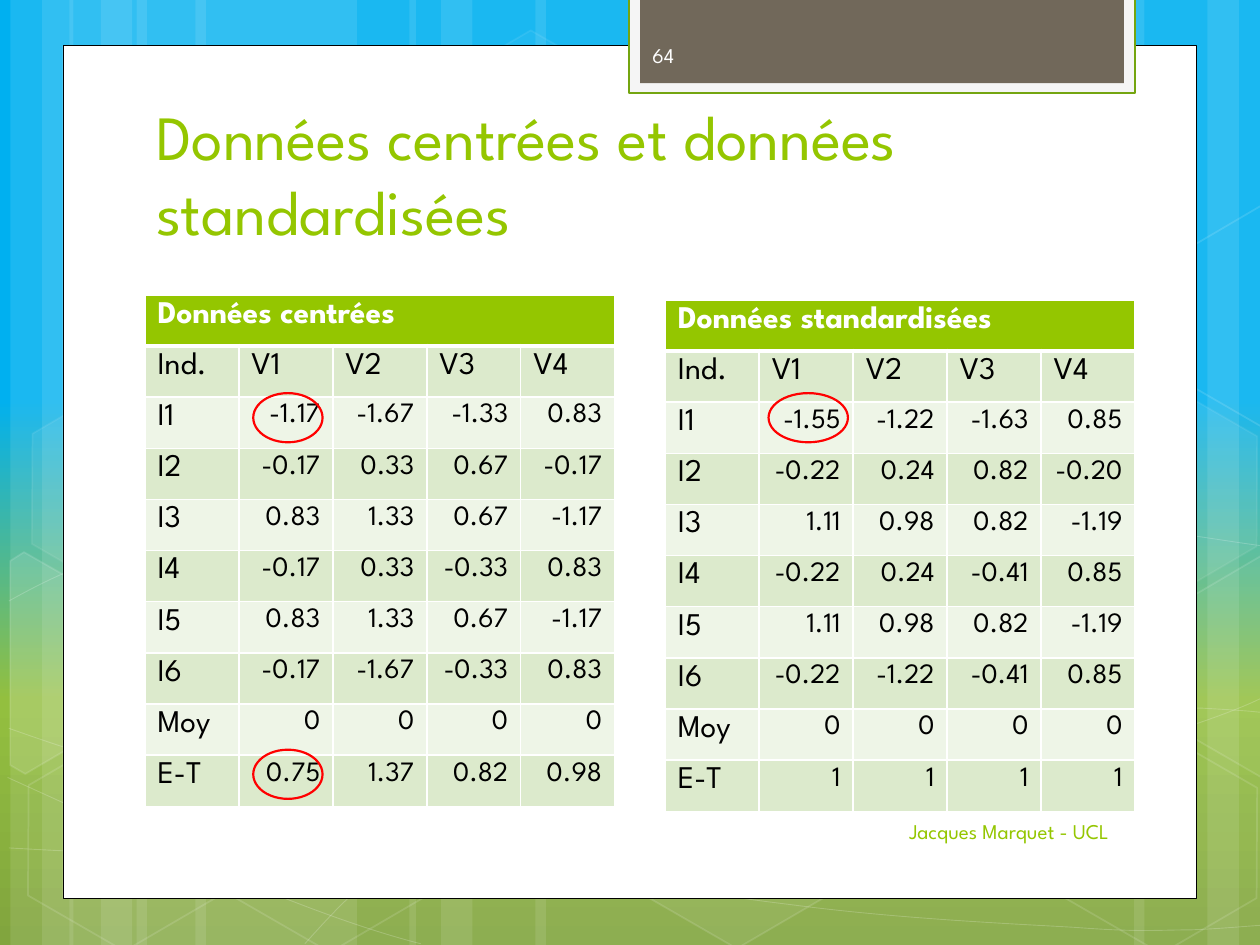
from dataclasses import dataclass
from math import cos, radians, sin
from typing import Any

from lxml import etree
from pptx import Presentation
from pptx.dml.color import RGBColor
from pptx.enum.shapes import MSO_SHAPE
from pptx.enum.text import MSO_ANCHOR, PP_ALIGN
from pptx.oxml.ns import qn
from pptx.util import Emu, Pt

RECT, HEX, OVAL = MSO_SHAPE.RECTANGLE, MSO_SHAPE.HEXAGON, MSO_SHAPE.OVAL
LEFT, RIGHT = PP_ALIGN.LEFT, PP_ALIGN.RIGHT
TOP, MIDDLE, BOTTOM = MSO_ANCHOR.TOP, MSO_ANCHOR.MIDDLE, MSO_ANCHOR.BOTTOM

WIDTH, HEIGHT = 9144000, 6858000
CELL = WIDTH / 10  # the slide is a grid of 10 columns by 7.5 rows
ROWS = 7.5
FONT = "League Spartan"
WHITE, BLACK, GREEN, RED = "FFFFFF", "000000", "94C600", "FF0000"
BANDS = ("DCEACC", "EEF5E7")
SKY = ((0, "00B0F0"), (42, "00B0F0"), (74, "93BF3F"), (100, "81A53E"))


@dataclass
class Box:
    x: float
    y: float
    w: float
    h: float


@dataclass
class Look:
    fill: str = ""
    alpha: int = 100
    line: str = ""
    width: float = 1
    sheer: int = 100


@dataclass
class Label:
    text: str
    box: Box
    size: int
    color: str
    anchor: Any = MIDDLE
    align: Any = LEFT


@dataclass
class Panel:
    title: str
    x: float
    y: float
    data: str


# Left edge and width in twelfths of a column
BARS = ((13, 21), (1, 6), (4, 10), (18.6, 21), (6.6, 6), (9.6, 10),
        (88, 21), (115, 6), (108, 10), (51, 37), (39, 6), (42, 10))

# Kinds of segment (C curve, L line), then their points
CURVES = (
    ("CCCC", (
        (0.07, 6.73), (0.61, 6.76), (1.15, 6.79), (1.9, 6.78), (2.65, 6.77), (3.58, 6.75),
        (4.58, 6.65), (5.58, 6.55), (7, 6.36), (7.92, 6.17), (8.83, 5.98), (9.77, 5.68),
        (10.07, 5.51))),
    ("CCCC", (
        (0.07, 4.77), (0.36, 4.61), (0.65, 4.46), (1.21, 4.31), (1.78, 4.16), (2.59, 3.94),
        (3.47, 3.87), (4.36, 3.8), (5.44, 3.79), (6.54, 3.87), (7.64, 3.95), (9.47, 4.26),
        (10.07, 4.34))),
    ("C", ((0.06, 6.17), (1.27, 6.72), (2.47, 7.27), (3.34, 7.49))),
    ("CCCCCC", (
        (0.07, 5.78), (0.38, 5.89), (0.7, 6), (1.28, 6.16), (1.86, 6.31), (2.73, 6.56),
        (3.57, 6.73), (4.4, 6.9), (5.45, 7.08), (6.28, 7.18), (7.11, 7.29), (8, 7.33),
        (8.53, 7.36), (9.05, 7.4), (9.19, 7.38), (9.45, 7.38), (9.71, 7.37), (9.89, 7.35),
        (10.07, 7.34))),
    ("CCCCCCCLCC", (
        (2.42, 7.49), (2.6, 7.29), (2.78, 7.09), (3.02, 6.91), (3.26, 6.73), (3.6, 6.53),
        (3.88, 6.39), (4.16, 6.25), (4.33, 6.19), (4.7, 6.09), (5.06, 5.99), (5.73, 5.85),
        (6.08, 5.78), (6.44, 5.71), (6.49, 5.71), (6.8, 5.69), (7.11, 5.66), (7.6, 5.63),
        (7.94, 5.62), (8.29, 5.61), (8.86, 5.62), (8.86, 5.62), (9.53, 5.62), (9.71, 5.63),
        (9.88, 5.64), (9.97, 5.65), (10.06, 5.66), (10.03, 5.65), (10.06, 5.66))),
)

# Left, top, fill opacity (0 for none), line opacity
HEXES = ((3.34, 0.36, 4, 8), (4.97, 5.89, 6, 12), (0.11, 5.91, 0, 12),
         (0.14, 3.12, 7, 8), (1.74, 5.92, 0, 12), (7.53, 4.53, 10, 12),
         (8.34, 5.93, 0, 12), (8.34, 3.14, 7, 8))

# Centre of turn, fill opacity, corners as they fall on the slide
CUTS = (
    ((0.36, 5.35), 10, ((0.08, 4.45), (0.19, 4.38), (0.96, 4.82), (0.95, 5.7),
                        (0.2, 6.14), (0.08, 6.07))),
    ((9.85, 5.2), 4, ((9.26, 4.85), (10.01, 4.41), (10.09, 4.46), (10.09, 6.13),
                      (10.02, 6.17), (9.26, 5.73))),
    ((9.85, 2.41), 0, ((9.26, 2.07), (10.01, 1.63), (10.1, 1.68), (10.09, 3.35),
                       (10.02, 3.39), (9.26, 2.95))),
)
TILT = 30

FRAMES = ((Box(0.5, 0.36, 9, 6.77), Look(WHITE, line=BLACK, width=0.5)),
          (Box(4.99, -0.02, 4.02, 0.76), Look("F5F5F5", line="74A510", width=1.25)),
          (Box(5.08, -0.02, 3.84, 0.68), Look("71685A")))

LABELS = (
    Label("Données centrées et données standardisées", Box(1.14, 0.92, 7.68, 1.1),
          36, GREEN, BOTTOM),
    Label("Jacques Marquet - UCL", Box(5.07, 6.4, 3.83, 0.4), 12, GREEN, align=RIGHT),
    Label("64", Box(5.08, 0.24, 1.46, 0.4), 12, "FEFEFE"),
)

PANELS = (
    Panel("Données centrées", 1.15, 2.34, """Ind. V1 V2 V3 V4
I1 -1.17 -1.67 -1.33 0.83
I2 -0.17 0.33 0.67 -0.17
I3 0.83 1.33 0.67 -1.17
I4 -0.17 0.33 -0.33 0.83
I5 0.83 1.33 0.67 -1.17
I6 -0.17 -1.67 -0.33 0.83
Moy 0 0 0 0
E-T 0.75 1.37 0.82 0.98"""),
    Panel("Données standardisées", 5.28, 2.38, """Ind. V1 V2 V3 V4
I1 -1.55 -1.22 -1.63 0.85
I2 -0.22 0.24 0.82 -0.20
I3 1.11 0.98 0.82 -1.19
I4 -0.22 0.24 -0.41 0.85
I5 1.11 0.98 0.82 -1.19
I6 -0.22 -1.22 -0.41 0.85
Moy 0 0 0 0
E-T 1 1 1 1"""),
)
RINGS = (Box(2.01, 3.12, 0.55, 0.39), Box(2.01, 5.95, 0.55, 0.39),
         Box(6.1, 3.12, 0.63, 0.39))


def grid(n: float) -> Emu:
    return Emu(round(n * CELL))


def place(box: Box) -> list[Emu]:
    return [grid(n) for n in (box.x, box.y, box.w, box.h)]


def tint(fill: Any, color: str, alpha: int = 100) -> None:
    fill.solid()
    fill.fore_color.rgb = RGBColor.from_string(color)
    if alpha < 100:
        node = fill._xPr.find(".//" + qn("a:srgbClr"))
        etree.SubElement(node, qn("a:alpha"), val=str(alpha * 1000))


def dress(shape: Any, look: Look) -> Any:
    shape.shadow.inherit = False
    if look.fill:
        tint(shape.fill, look.fill, look.alpha)
    else:
        shape.fill.background()
    if look.line:
        shape.line.width = Pt(look.width)
        tint(shape.line.fill, look.line, look.sheer)
    else:
        shape.line.fill.background()
    return shape


def draw(slide: Any, kind: Any, box: Box, look: Look) -> Any:
    return dress(slide.shapes.add_shape(kind, *place(box)), look)


def trace(slide: Any, dots: Any, look: Look, close: bool = False) -> Any:
    ends = [(grid(x), grid(y)) for x, y in dots]
    path = slide.shapes.build_freeform(*ends[0])
    path.add_line_segments(ends[1:], close=close)
    return dress(path.convert_to_shape(), look)


def bend(shape: Any, kinds: str) -> None:
    """Join each run of three line segments marked C into one cubic curve."""
    steps = iter(shape._element.findall(".//" + qn("a:lnTo")))
    for kind in kinds:
        step = next(steps)
        if kind == "C":
            step.tag = qn("a:cubicBezTo")
            for _ in range(2):
                rest = next(steps)
                step.append(rest[0])
                rest.getparent().remove(rest)


def turn(dot: tuple, mid: tuple, angle: float) -> tuple:
    a, x, y = radians(angle), dot[0] - mid[0], dot[1] - mid[1]
    return mid[0] + x * cos(a) - y * sin(a), mid[1] + x * sin(a) + y * cos(a)


def write(frame: Any, text: str, size: int, color: str, align: Any, bold: bool = False) -> None:
    para = frame.paragraphs[0]
    para.alignment = align
    run = para.add_run()
    run.text = text
    style = {"name": FONT, "size": Pt(size), "bold": bold}
    for key, value in style.items():
        setattr(run.font, key, value)
    tint(run.font.fill, color)


def label(slide: Any, item: Label) -> None:
    frame = slide.shapes.add_textbox(*place(item.box)).text_frame
    for key, value in {"word_wrap": True, "vertical_anchor": item.anchor}.items():
        setattr(frame, key, value)
    write(frame, item.text, item.size, item.color, item.align)


def edge(cell: Any, row: int) -> None:
    """White borders, heavier between the title row and the next."""
    for side in "LRTB":
        width = Pt(3 if (row, side) in {(0, "B"), (1, "T")} else 1)
        line = etree.SubElement(cell._tc.get_or_add_tcPr(), qn("a:ln" + side), w=str(width))
        solid = etree.SubElement(line, qn("a:solidFill"))
        etree.SubElement(solid, qn("a:srgbClr"), val=WHITE)


def panel(slide: Any, item: Panel) -> None:
    lines = [[item.title] + [""] * 4] + [row.split() for row in item.data.splitlines()]
    box = Box(item.x, item.y, 3.73, 4.06)
    table = slide.shapes.add_table(len(lines), 5, *place(box)).table
    for r, line in enumerate(lines):
        for c, text in enumerate(line):
            cell = table.cell(r, c)
            edge(cell, r)
            tint(cell.fill, BANDS[(r - 1) % 2] if r else GREEN)
            cell.vertical_anchor = TOP
            number = r > 1 and c > 0
            if text:
                write(cell.text_frame, text, 16 if number else 18, BLACK if r else WHITE,
                      RIGHT if number else LEFT, bold=r == 0)
    table.cell(0, 0).merge(table.cell(0, 4))


def sky(slide: Any) -> None:
    fill = slide.background.fill
    fill.gradient()
    fill.gradient_angle = 270
    stops = slide.element.find(".//" + qn("a:gsLst"))
    stops[:] = []
    for pos, color in SKY:
        stop = etree.SubElement(stops, qn("a:gs"), pos=str(pos * 1000))
        etree.SubElement(stop, qn("a:srgbClr"), val=color)


def main() -> None:
    deck = Presentation()
    deck.slide_width, deck.slide_height = Emu(WIDTH), Emu(HEIGHT)
    slide = deck.slides.add_slide(deck.slide_layouts[6])
    sky(slide)
    for x, w in BARS:
        draw(slide, RECT, Box(x / 12, 0, w / 12, ROWS), Look(WHITE, 10))
    for kinds, dots in CURVES:
        bend(trace(slide, dots, Look(line=WHITE, width=0.5, sheer=20)), kinds)
    for x, y, alpha, sheer in HEXES:
        look = Look(WHITE if alpha else "", alpha, WHITE, 1, sheer)
        tile = draw(slide, HEX, Box(x, y, 1.75, 1.52), look)
        tile.adjustments[0] = 0.285
        tile.rotation = TILT
    for mid, alpha, dots in CUTS:
        look = Look(WHITE if alpha else "", alpha, WHITE, 1, 12)
        trace(slide, [turn(d, mid, -TILT) for d in dots], look, True).rotation = TILT
    for box, look in FRAMES:
        draw(slide, RECT, box, look)
    for item in LABELS:
        label(slide, item)
    for item in PANELS:
        panel(slide, item)
    for box in RINGS:
        draw(slide, OVAL, box, Look(line=RED, width=1.25))
    deck.save("out.pptx")


if __name__ == "__main__":
    main()
